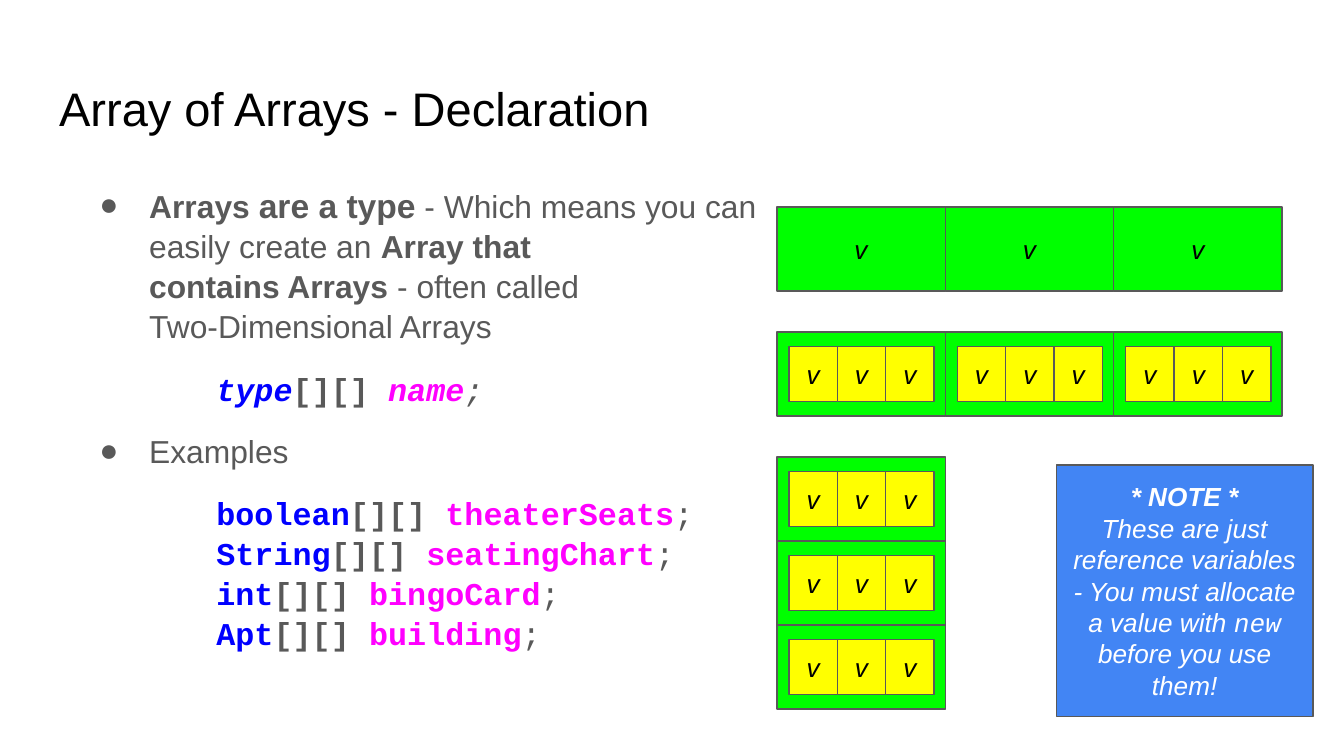
from lxml import etree
from pptx import Presentation
from pptx import util as u
from pptx.dml.color import RGBColor
from pptx.enum import shapes, text
from pptx.oxml import ns

HUES = {"black": "000000", "gray": "595959", "blue": "0000FF", "pink": "FF00FF",
        "green": "00FF00", "yellow": "FFFF00", "note": "4285F4", "white": "FFFFFF"}
SANS, MONO = "Arial", "Courier New"
PAGE_W = 10
PAGE_H = PAGE_W * 9 / 16
LEFT, WIDE, HIGH = 5.78, 3.76 / 3, 5 / 8
SLOT = 0.36


def hue(name):
    return RGBColor.from_string(HUES[name])


def set_font(font, name=None, size=None, color=None, bold=None, italic=None):
    if name:
        font.name = name
    if size:
        font.size = u.Pt(size)
    if color:
        font.color.rgb = hue(color)
    if bold is not None:
        font.bold = bold
    if italic is not None:
        font.italic = italic


def add_runs(para, runs):
    for words, style in runs:
        for i, line in enumerate(words.split("\n")):
            if i:
                para.add_line_break()
            if line:
                run = para.add_run()
                run.text = line
                set_font(run.font, **style)


def set_frame(frame, anchor):
    frame.word_wrap = True
    frame.auto_size = text.MSO_AUTO_SIZE.NONE
    frame.vertical_anchor = anchor
    for side in ("left", "right", "top", "bottom"):
        setattr(frame, f"margin_{side}", u.Inches(0.1))


def place(shape, x, y, w, h):
    shape.left, shape.top = u.Inches(x), u.Inches(y)
    shape.width, shape.height = u.Inches(w), u.Inches(h)


def add_mark(props, tag, **attrs):
    return etree.SubElement(props, ns.qn(f"a:{tag}"), **attrs)


def set_list(para, bullet):
    props = para._p.get_or_add_pPr()
    props.set("marL", str(u.Inches(0.5)))
    props.set("indent", str(u.Inches(-0.37 if bullet else 0.5)))
    if bullet:
        tint = add_mark(props, "buClr")
        add_mark(tint, "srgbClr", val=HUES["gray"])
        add_mark(props, "buFont", typeface=SANS)
        add_mark(props, "buChar", char="●")
    else:
        add_mark(props, "buNone")
        tabs = add_mark(props, "tabLst")
        add_mark(tabs, "tab", pos=str(u.Inches(1.5)), algn="l")


def add_title(slide):
    title = slide.shapes.title
    place(title, 0.34, 0.49, 9.32, 0.63)
    set_frame(title.text_frame, text.MSO_ANCHOR.TOP)
    para = title.text_frame.paragraphs[0]
    para.text = "Array of Arrays - Declaration"
    para.alignment = text.PP_ALIGN.LEFT
    set_font(para.font, SANS, 25.2, "black")


def declare(kind, name, end=";", italic=False):
    return [(kind, dict(color="blue", bold=True, italic=italic)),
            ("[][] ", dict(bold=True)),
            (name, dict(color="pink", bold=True, italic=italic)),
            (end, dict(italic=italic))]


def add_body(slide):
    body = slide.placeholders[1]
    place(body, 0.51, 1.26, 9.32, 3.74)
    frame = body.text_frame
    set_frame(frame, text.MSO_ANCHOR.TOP)
    strong = dict(bold=True)
    intro = [("Arrays ", strong), ("are a type", dict(size=18, bold=True)),
             (" - Which means you can \neasily create an ", {}),
             ("Array that \ncontains Arrays", strong),
             (" - often called \nTwo-Dimensional Arrays", {})]
    samples = (declare("boolean", "theaterSeats", ";\n\t")
               + declare("String", "seatingChart", ";\n\t")
               + declare("int", "bingoCard", ";\n\t")
               + declare("Apt", "building"))
    items = [(True, intro), (False, declare("type", "name", italic=True)),
             (True, [("Examples", {})]), (False, samples)]
    for i, (bullet, runs) in enumerate(items):
        para = frame.add_paragraph() if i else frame.paragraphs[0]
        set_list(para, bullet)
        para.alignment = text.PP_ALIGN.LEFT
        para.line_spacing = 1.05
        para.space_before = u.Pt(12 if i else 0)
        set_font(para.font, SANS if bullet else MONO, 17, "gray")
        add_runs(para, runs)


def add_box(slide, x, y, w, h, fill):
    box = slide.shapes.add_shape(shapes.MSO_SHAPE.RECTANGLE, u.Inches(x),
                                 u.Inches(y), u.Inches(w), u.Inches(h))
    box.shadow.inherit = False
    box.fill.solid()
    box.fill.fore_color.rgb = hue(fill)
    box.line.color.rgb = hue("gray")
    box.line.width = u.Pt(0.75)
    set_frame(box.text_frame, text.MSO_ANCHOR.MIDDLE)
    return box


def label(para, color, runs, bold=None):
    para.alignment = text.PP_ALIGN.CENTER
    set_font(para.font, SANS, 14, color, bold, True)
    add_runs(para, runs)


def add_value(slide, x, y, w, h, fill):
    box = add_box(slide, x, y, w, h, fill)
    label(box.text_frame.paragraphs[0], "black", [("v", {})])


def add_nest(slide, x, y):
    add_box(slide, x, y, WIDE, HIGH, "green")
    for i in range(3):
        add_value(slide, x + 0.09 + i * SLOT, y + 0.11, SLOT, 0.41, "yellow")


def add_note(slide):
    frame = add_box(slide, 7.86, 3.46, 1.91, 1.87, "note").text_frame
    label(frame.paragraphs[0], "white", [("* NOTE *", {})], True)
    label(frame.add_paragraph(), "white", [
        ("These are just reference variables - You must allocate a value with ", {}),
        ("new ", dict(name=MONO)), ("before you use them!", {})])


def main():
    deck = Presentation()
    deck.slide_width, deck.slide_height = u.Inches(PAGE_W), u.Inches(PAGE_H)
    slide = deck.slides.add_slide(deck.slide_layouts[1])
    add_title(slide)
    add_body(slide)
    for i in range(3):
        add_value(slide, LEFT + i * WIDE, 1.54, WIDE, HIGH, "green")
    for i in range(3):
        add_nest(slide, LEFT + i * WIDE, 2.47)
    for i in range(3):
        add_nest(slide, LEFT, 3.4 + i * HIGH)
    add_note(slide)
    deck.save("out.pptx")


if __name__ == "__main__":
    main()
